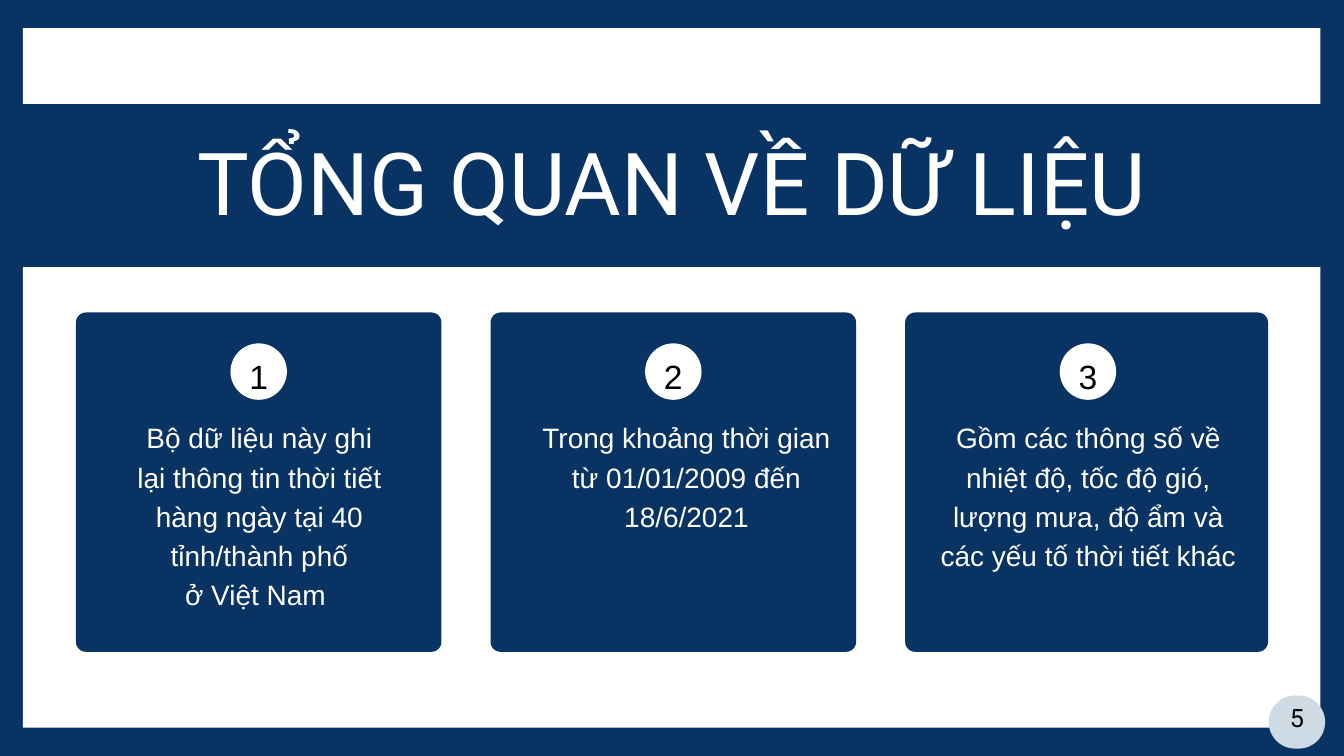
import dataclasses

import pptx
import pptx.dml.color
import pptx.enum.shapes
import pptx.enum.text
import pptx.shapes.autoshape
import pptx.slide
import pptx.util

Inches = pptx.util.Inches
Pt = pptx.util.Pt
ShapeKind = pptx.enum.shapes.MSO_SHAPE
Anchor = pptx.enum.text.MSO_ANCHOR


@dataclasses.dataclass(frozen=True)
class TextStyle:
    font: str
    size: float
    line_spacing: float
    color: str


@dataclasses.dataclass(frozen=True)
class Theme:
    navy: str = "093362"
    white: str = "FFFFFF"
    badge: str = "CEDAE4"
    title: TextStyle = TextStyle("Roboto", 93, 93.9, "FFFFFF")
    body: TextStyle = TextStyle("Arial", 30, 42, "FFFFFF")
    number: TextStyle = TextStyle("Arial", 36, 56.5, "000000")
    page: TextStyle = TextStyle("Roboto", 27, 37.8, "000000")


@dataclasses.dataclass(frozen=True)
class Box:
    left: float
    top: float
    width: float
    height: float

    def lengths(self) -> tuple[pptx.util.Length, ...]:
        return tuple(Inches(value) for value in dataclasses.astuple(self))


@dataclasses.dataclass(frozen=True)
class Card:
    text: str
    text_left: float
    text_width: float
    text_height: float
    width: float = 5.44


THEME = Theme()
CARD_LEFT, CARD_TOP, CARD_HEIGHT, CARD_PITCH = 1.13, 4.65, 5.05, 6.17
CORNER_RADIUS = 0.15
CIRCLE_OFFSET, CIRCLE_TOP, CIRCLE_SIZE = 2.3, 5.11, 0.84
NUMBER_WIDTH, NUMBER_HEIGHT = 0.6, 0.72
BODY_TOP = 6.18

CARDS = (
    Card("Bộ dữ liệu này ghi lại thông tin thời tiết hàng ngày tại 40 "
         "tỉnh/thành phố\nở Việt Nam ", 1.93, 3.86, 2.9),
    Card("Trong khoảng thời gian từ 01/01/2009 đến 18/6/2021",
         7.97, 4.49, 1.73),
    Card("Gồm các thông số về nhiệt độ, tốc độ gió, lượng mưa, độ ẩm và "
         "các yếu tố thời tiết khác", 13.87, 4.65, 2.31, width=5.4),
)


def add_filled_shape(slide: pptx.slide.Slide, kind: ShapeKind, box: Box,
                     color: str) -> pptx.shapes.autoshape.Shape:
    shape = slide.shapes.add_shape(kind, *box.lengths())
    shape.shadow.inherit = False
    shape.fill.solid()
    shape.fill.fore_color.rgb = pptx.dml.color.RGBColor.from_string(color)
    shape.line.fill.background()
    return shape


def write_text(shape: pptx.shapes.autoshape.Shape, text: str, style: TextStyle,
               anchor: Anchor = Anchor.TOP, inset: float = 0) -> None:
    frame = shape.text_frame
    frame.text = text
    frame.word_wrap = True
    frame.auto_size = pptx.enum.text.MSO_AUTO_SIZE.NONE
    frame.vertical_anchor = anchor
    frame.margin_left = frame.margin_right = Inches(inset)
    frame.margin_top = frame.margin_bottom = Inches(inset)
    for paragraph in frame.paragraphs:
        paragraph.alignment = pptx.enum.text.PP_ALIGN.CENTER
        paragraph.line_spacing = Pt(style.line_spacing)
        for run in paragraph.runs:
            run.font.name = style.font
            run.font.size = Pt(style.size)
            run.font.color.rgb = pptx.dml.color.RGBColor.from_string(style.color)


def add_text(slide: pptx.slide.Slide, box: Box, text: str, style: TextStyle,
             anchor: Anchor = Anchor.TOP, inset: float = 0) -> None:
    write_text(slide.shapes.add_textbox(*box.lengths()), text, style, anchor, inset)


def add_card(slide: pptx.slide.Slide, index: int, card: Card) -> None:
    left = CARD_LEFT + index * CARD_PITCH
    panel = add_filled_shape(slide, ShapeKind.ROUNDED_RECTANGLE,
                             Box(left, CARD_TOP, card.width, CARD_HEIGHT), THEME.navy)
    panel.adjustments[0] = CORNER_RADIUS / min(card.width, CARD_HEIGHT)

    circle_left = left + CIRCLE_OFFSET
    add_filled_shape(slide, ShapeKind.OVAL,
                     Box(circle_left, CIRCLE_TOP, CIRCLE_SIZE, CIRCLE_SIZE), THEME.white)
    number_left = circle_left + (CIRCLE_SIZE - NUMBER_WIDTH) / 2
    add_text(slide, Box(number_left, CIRCLE_TOP, NUMBER_WIDTH, NUMBER_HEIGHT),
             str(index + 1), THEME.number)
    add_text(slide, Box(card.text_left, BODY_TOP, card.text_width, card.text_height),
             card.text, THEME.body)


def add_title(slide: pptx.slide.Slide, box: Box, text: str) -> None:
    """Fill the title placeholder and bring it in front of its band."""
    title = slide.shapes.title
    title.left, title.top, title.width, title.height = box.lengths()
    write_text(title, text, THEME.title)
    title.element.getparent().append(title.element)


def add_page_number(slide: pptx.slide.Slide, text: str) -> None:
    badge = add_filled_shape(slide, ShapeKind.ROUNDED_RECTANGLE,
                             Box(18.88, 10.35, 0.84, 0.79), THEME.badge)
    badge.adjustments[0] = 0.5
    add_text(slide, Box(18.88, 10.15, 0.84, 0.99), text, THEME.page,
             Anchor.MIDDLE, 0.06)


def main() -> None:
    presentation = pptx.Presentation()
    presentation.slide_width = Inches(20)
    presentation.slide_height = Inches(11.25)
    slide = presentation.slides.add_slide(
        presentation.slide_layouts.get_by_name("Title Only"))
    background = slide.background.fill
    background.solid()
    background.fore_color.rgb = pptx.dml.color.RGBColor.from_string(THEME.navy)

    add_filled_shape(slide, ShapeKind.RECTANGLE,
                     Box(0.34, 0.42, 19.31, 10.41), THEME.white)
    add_filled_shape(slide, ShapeKind.RECTANGLE,
                     Box(-0.5, 1.55, 21, 2.42), THEME.navy)
    add_title(slide, Box(2.04, 2.16, 15.91, 1.37), "TỔNG QUAN VỀ DỮ LIỆU")
    for index, card in enumerate(CARDS):
        add_card(slide, index, card)
    add_page_number(slide, "5")

    presentation.save("out.pptx")


if __name__ == "__main__":
    main()
